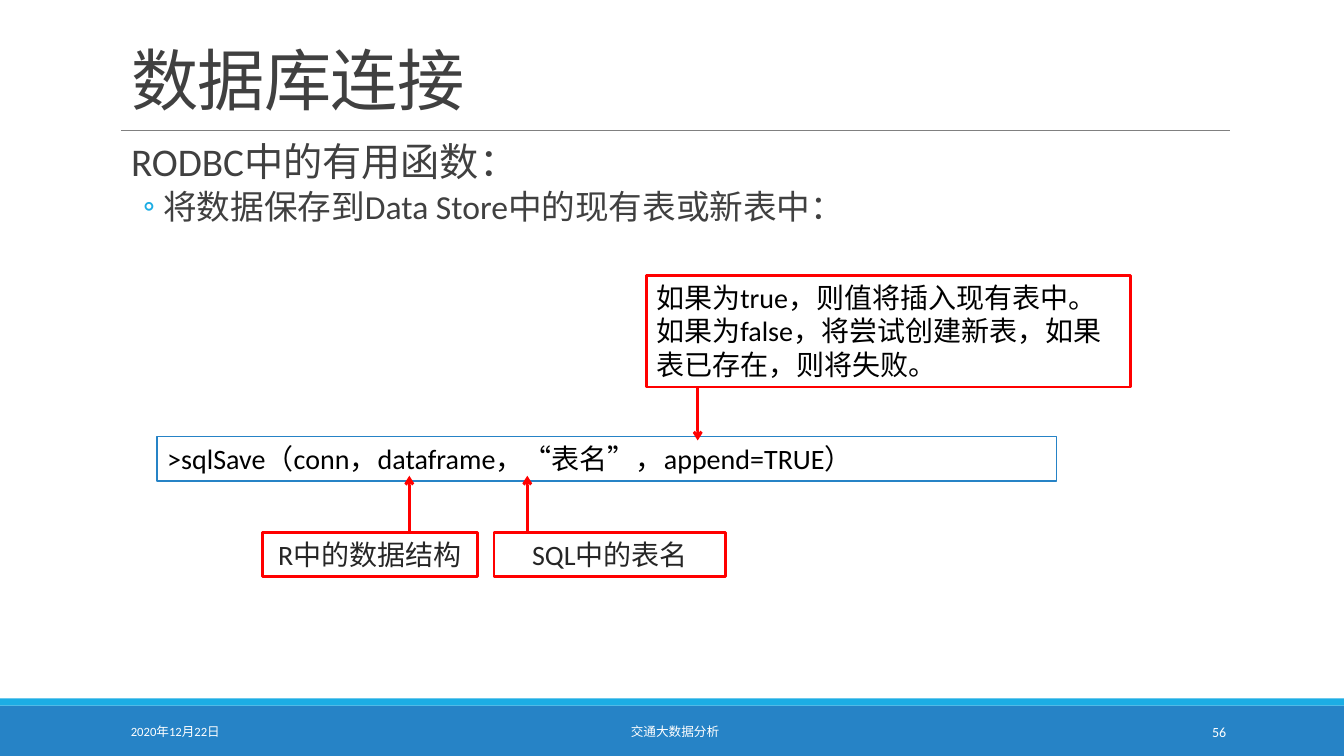
from pptx import Presentation
from pptx import util as u
from pptx.dml.color import RGBColor
from pptx.enum import shapes, text
from pptx.oxml.ns import qn
from lxml import etree

BLUE = RGBColor(0x26, 0x83, 0xC6)
CYAN = RGBColor(0x1C, 0xAD, 0xE4)
RED = RGBColor(0xFF, 0x00, 0x00)
GREY = RGBColor(0x80, 0x80, 0x80)
DARK = RGBColor(0x40, 0x40, 0x40)
INK = RGBColor(0x26, 0x26, 0x26)
BLACK = RGBColor(0x00, 0x00, 0x00)
WHITE = RGBColor(0xFF, 0xFF, 0xFF)
LEFT, MID, RIGHT = text.PP_ALIGN.LEFT, text.PP_ALIGN.CENTER, text.PP_ALIGN.RIGHT
TOP, CENTER, BASE = text.MSO_ANCHOR.TOP, text.MSO_ANCHOR.MIDDLE, text.MSO_ANCHOR.BOTTOM


def place(item, x, y, w, h):
    item.left, item.top = u.Inches(x), u.Inches(y)
    item.width, item.height = u.Inches(w), u.Inches(h)


def write(para, words, size=20, color=BLACK, align=LEFT, ls=1.0, before=0, after=0):
    para.alignment, para.line_spacing = align, ls
    para.space_before, para.space_after = u.Pt(before), u.Pt(after)
    run = para.add_run()
    run.text = words
    font = run.font
    font.name, font.size = "Calibri", u.Pt(size)
    font.color.rgb = color
    return run


def setup(frame, anchor=TOP):
    frame.word_wrap = True
    frame.auto_size = text.MSO_AUTO_SIZE.NONE
    frame.vertical_anchor = anchor


def bullet(para, margin, hang, mark=None):
    props = para._p.get_or_add_pPr()
    props.set("marL", str(u.Inches(margin)))
    props.set("indent", str(u.Inches(hang)))
    if mark is None:
        etree.SubElement(props, qn("a:buNone"))
        return
    tint = etree.SubElement(props, qn("a:buClr"))
    etree.SubElement(tint, qn("a:srgbClr"), val=str(CYAN))
    etree.SubElement(props, qn("a:buFont"), typeface="Calibri")
    etree.SubElement(props, qn("a:buChar"), char=mark)


def box(slide, at, fill=WHITE, edge=None, width=2, words=None, **look):
    rect = slide.shapes.add_shape(shapes.MSO_SHAPE.RECTANGLE, *map(u.Inches, at))
    rect.shadow.inherit = False
    rect.fill.solid()
    rect.fill.fore_color.rgb = fill
    if edge is None:
        rect.line.fill.background()
    else:
        rect.line.color.rgb = edge
        rect.line.width = u.Pt(width)
    if words:
        setup(rect.text_frame)
        write(rect.text_frame.paragraphs[0], words, **look)


def label(slide, at, words, **look):
    frame = slide.shapes.add_textbox(*map(u.Inches, at)).text_frame
    setup(frame, CENTER)
    write(frame.paragraphs[0], words, color=WHITE, **look)


def line(slide, ends, color, width, arrow=False):
    rule = slide.shapes.add_connector(shapes.MSO_CONNECTOR.STRAIGHT, *map(u.Inches, ends))
    rule.line.color.rgb = color
    rule.line.width = u.Pt(width)
    if arrow:
        etree.SubElement(rule.line._get_or_add_ln(), qn("a:tailEnd"), type="arrow")
    etree.SubElement(rule._element.spPr, qn("a:effectLst"))


def head(slide):
    title = slide.shapes.title
    place(title, 1.2, 0.14, 11, 1.09)
    setup(title.text_frame, BASE)
    run = write(title.text_frame.paragraphs[0], "数据库连接", size=48, color=DARK, ls=0.85)
    run.font._element.set("spc", "-50")
    line(slide, (1.2, 1.29, 12.2, 1.29), GREY, 0.5)


def body(slide):
    holder = slide.placeholders[1]
    place(holder, 1.2, 1.36, 11, 5.53)
    frame = holder.text_frame
    setup(frame)
    frame.margin_left = frame.margin_right = 0
    para = frame.paragraphs[0]
    write(para, "RODBC中的有用函数：", size=28, color=DARK, ls=0.9, before=12, after=2)
    bullet(para, 0.1, 0)
    para = frame.add_paragraph()
    para.level = 1
    write(para, "将数据保存到Data Store中的现有表或新表中：",
          size=24, color=DARK, ls=0.9, before=2, after=4)
    bullet(para, 0.42, -0.2, "◦")


def foot(slide):
    box(slide, (0, 7, 13.33, 0.5), BLUE)
    box(slide, (0, 6.93, 13.33, 0.07), CYAN)
    label(slide, (1.2, 7.06, 2.7, 0.4), "2020年12月22日", size=9)
    label(slide, (4.06, 7.06, 5.27, 0.4), "交通大数据分析", size=9, align=MID)
    label(slide, (10.83, 7.06, 1.43, 0.4), "56", size=10, align=RIGHT)


def diagram(slide):
    # The call being explained
    box(slide, (1.56, 4.33, 8.92, 0.44), edge=BLUE, width=1.25,
        words=">sqlSave（conn，dataframe，“表名”，append=TRUE）")
    # Notes below, pointing up
    for x, w, tip, words in ((2.6, 2.14, 4.06, "R中的数据结构"),
                             (4.9, 2.3, 5.23, "SQL中的表名")):
        box(slide, (x, 5.28, w, 0.44), edge=RED, words=words, color=INK, align=MID)
        line(slide, (tip, 5.28, tip, 4.72), RED, 2, arrow=True)
    # Note above, pointing down
    box(slide, (6.41, 2.73, 4.8, 1.11), edge=RED,
        words="如果为true，则值将插入现有表中。如果为false，将尝试创建新表，如果表已存在，则将失败。")
    line(slide, (6.92, 3.85, 6.92, 4.37), RED, 2, arrow=True)


def main():
    deck = Presentation()
    deck.slide_width, deck.slide_height = u.Inches(13.33), u.Inches(7.5)
    slide = deck.slides.add_slide(deck.slide_layouts[1])
    head(slide)
    body(slide)
    foot(slide)
    diagram(slide)
    deck.save("out.pptx")


if __name__ == "__main__":
    main()
